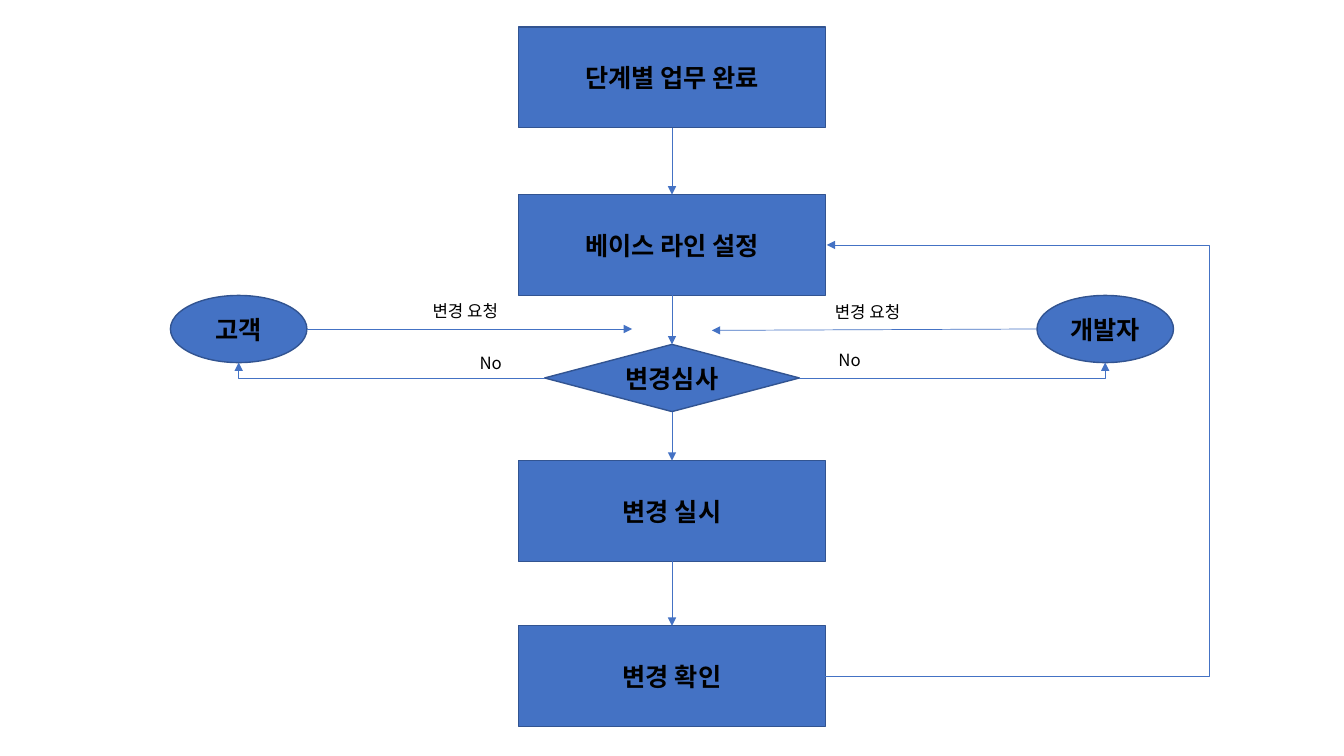
from lxml.etree import SubElement
from pptx import Presentation
from pptx.dml.color import RGBColor
from pptx.enum.shapes import MSO_CONNECTOR as LINK, MSO_SHAPE as SHAPE
from pptx.enum.text import MSO_ANCHOR, MSO_AUTO_SIZE, PP_ALIGN
from pptx.oxml.ns import qn
from pptx.util import Pt

FONT = "Noto Sans CJK KR"
BLUE, OUTLINE, BLACK = "4472C4", "325491", "000000"
CENTER = 480  # axis of the main flow
SIDE = 309.5  # distance from the axis to each requester

# kind: preset, width, height
KINDS = {
    "step": (SHAPE.RECTANGLE, 219, 72),
    "review": (SHAPE.FLOWCHART_DECISION, 182, 48),
    "requester": (SHAPE.FLOWCHART_CONNECTOR, 97.5, 48),
}
# text, kind, top
FLOW = [
    ("단계별 업무 완료", "step", 19.3),
    ("베이스 라인 설정", "step", 139),
    ("변경심사", "review", 246),
    ("변경 실시", "step", 329),
    ("변경 확인", "step", 447),
]
# text, side of the axis, drop of the request arrow
REQUESTERS = [("고객", -1, 0), ("개발자", 1, 1)]
REQUESTER_TOP, REQUEST_GAP = 211, 28.5
LOOP_X = 866
# text, left, top, width
LABELS = [
    ("변경 요청", 301.9, 211, 67),
    ("No", 335.5, 248.5, 31),
    ("변경 요청", 589.2, 211.7, 67),
    ("No", 591.8, 246.4, 31),
]


def color(value):
    """Turn a hex string into a colour."""
    return RGBColor.from_string(value)


def write(shape, text, size, bold=False):
    """Put one line of black text into a shape."""
    shape.text_frame.text = text
    font = shape.text_frame.paragraphs[0].runs[0].font
    font.size, font.bold = Pt(size), bold
    font.color.rgb = color(BLACK)
    font.name = FONT
    SubElement(font._element, qn("a:ea"), typeface=FONT)


def add_node(text, kind, center, top):
    """Draw a flowchart node centred on a given x."""
    preset, width, height = KINDS[kind]
    node = slide.shapes.add_shape(
        preset, Pt(center - width / 2), Pt(top), Pt(width), Pt(height))
    node.shadow.inherit = False
    node.fill.solid()
    node.fill.fore_color.rgb = color(BLUE)
    node.line.color.rgb = color(OUTLINE)
    node.line.width = Pt(1)
    write(node, text, 18, True)
    node.text_frame.vertical_anchor = MSO_ANCHOR.MIDDLE
    node.text_frame.paragraphs[0].alignment = PP_ALIGN.CENTER
    return node


def add_arrow(start, end, link=LINK.STRAIGHT):
    """Draw a thin arrow between two (x, y) points."""
    arrow = slide.shapes.add_connector(link, *map(Pt, start + end))
    arrow.line.color.rgb = color(BLUE)
    arrow.line.width = Pt(0.5)
    SubElement(arrow.line._get_or_add_ln(), qn("a:tailEnd"), type="triangle")
    SubElement(arrow._element.spPr, qn("a:effectLst"))
    return arrow


def add_label(text, left, top, width):
    """Write a small caption beside an arrow."""
    label = slide.shapes.add_textbox(Pt(left), Pt(top), Pt(width), Pt(21.8))
    write(label, text, 12)
    label.text_frame.word_wrap = False
    label.text_frame.auto_size = MSO_AUTO_SIZE.SHAPE_TO_FIT_TEXT


presentation = Presentation()
presentation.slide_width, presentation.slide_height = Pt(960), Pt(540)
slide = presentation.slides.add_slide(presentation.slide_layouts[6])

steps = [add_node(text, kind, CENTER, top) for text, kind, top in FLOW]
for upper, lower in zip(steps, steps[1:]):
    arrow = add_arrow((CENTER, 0), (CENTER, 1))
    arrow.begin_connect(upper, 2)
    arrow.end_connect(lower, 0)

_, review_width, review_height = KINDS["review"]
_, requester_width, requester_height = KINDS["requester"]
review_y = FLOW[2][2] + review_height / 2
request_y = REQUESTER_TOP + requester_height / 2
for text, side, drop in REQUESTERS:
    x = CENTER + side * SIDE
    add_node(text, "requester", x, REQUESTER_TOP)
    add_arrow((x - side * requester_width / 2, request_y),
              (CENTER + side * REQUEST_GAP, request_y + drop))
    rejection = add_arrow((CENTER + side * review_width / 2, review_y),
                          (x, REQUESTER_TOP + requester_height), LINK.ELBOW)
    rejection._element.spPr.prstGeom.set("prst", "bentConnector2")

_, step_width, step_height = KINDS["step"]
step_right = CENTER + step_width / 2
loop = add_arrow((step_right, FLOW[4][2] + step_height / 2),
                 (step_right + 1, FLOW[1][2] + step_height / 2), LINK.ELBOW)
# The bend is a multiple of the connector's width, which is one point.
bend = round((LOOP_X - step_right) * 100000)
guides = loop._element.spPr.prstGeom.get_or_add_avLst()
SubElement(guides, qn("a:gd"), name="adj1", fmla=f"val {bend}")

for label in LABELS:
    add_label(*label)

presentation.save("out.pptx")
